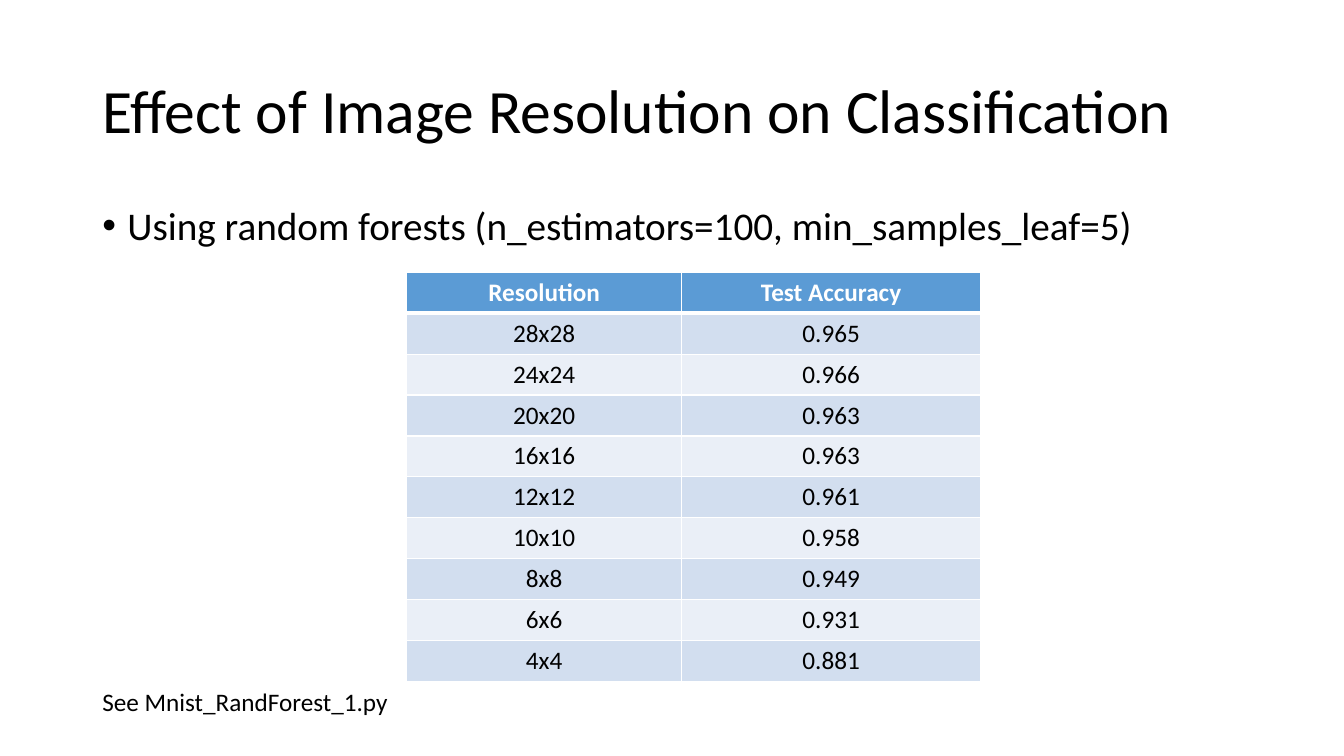
from dataclasses import dataclass

from lxml import etree
from pptx import Presentation
from pptx import util as u
from pptx.dml.color import RGBColor
from pptx.enum import text
from pptx.oxml import ns


@dataclass(frozen=True)
class Theme:
    font: str = "Calibri"
    ink: str = "000000"
    white: str = "FFFFFF"
    header: str = "5B9BD5"
    bands: tuple[str, str] = ("D2DEEF", "EAEFF7")
    title_size: float = 44
    body_size: float = 28
    small_size: float = 18


@dataclass(frozen=True)
class Box:
    left: float
    top: float
    width: float
    height: float

    def lengths(self) -> list[u.Length]:
        return [u.Pt(v) for v in (self.left, self.top, self.width, self.height)]


@dataclass(frozen=True)
class Result:
    resolution: str
    accuracy: str


THEME = Theme()
MARGIN = 66
CONTENT_WIDTH = 828
COLUMN_WIDTHS = (196.8, 213.3)
ROW_HEIGHT = 29.2
BULLET_INDENT = 18

RESULTS = [
    Result("28x28", "0.965"),
    Result("24x24", "0.966"),
    Result("20x20", "0.963"),
    Result("16x16", "0.963"),
    Result("12x12", "0.961"),
    Result("10x10", "0.958"),
    Result("8x8", "0.949"),
    Result("6x6", "0.931"),
    Result("4x4", "0.881"),
]


def write_text(frame, content: str, *, size: float, color: str = THEME.ink,
               bold: bool = False, align=text.PP_ALIGN.LEFT,
               line_spacing: float = 1.0, space_before: float = 0,
               bullet: bool = False) -> None:
    paragraph = frame.paragraphs[0]
    paragraph.alignment = align
    paragraph.line_spacing = line_spacing
    paragraph.space_before = u.Pt(space_before)
    if bullet:
        properties = paragraph._p.get_or_add_pPr()
        properties.set("marL", str(u.Pt(BULLET_INDENT)))
        properties.set("indent", str(-u.Pt(BULLET_INDENT)))
        etree.SubElement(properties, ns.qn("a:buFont"), typeface="Arial")
        etree.SubElement(properties, ns.qn("a:buChar"), char="•")
    run = paragraph.add_run()
    run.text = content
    run.font.name = THEME.font
    run.font.size = u.Pt(size)
    run.font.bold = bold
    run.font.color.rgb = RGBColor.from_string(color)


def add_text_box(slide, box: Box, content: str, *,
                 anchor=text.MSO_ANCHOR.TOP, **text_format) -> None:
    frame = slide.shapes.add_textbox(*box.lengths()).text_frame
    frame.word_wrap = True
    frame.vertical_anchor = anchor
    write_text(frame, content, **text_format)


def set_borders(cell, top: float, bottom: float) -> None:
    properties = cell._tc.get_or_add_tcPr()
    for side, width in (("L", 1), ("R", 1), ("T", top), ("B", bottom)):
        line = etree.SubElement(properties, ns.qn(f"a:ln{side}"), w=str(u.Pt(width)))
        fill = etree.SubElement(line, ns.qn("a:solidFill"))
        etree.SubElement(fill, ns.qn("a:srgbClr"), val=THEME.white)


def add_results_table(slide, left: float, top: float, results: list[Result]) -> None:
    rows = [("Resolution", "Test Accuracy")]
    rows += [(result.resolution, result.accuracy) for result in results]
    box = Box(left, top, sum(COLUMN_WIDTHS), ROW_HEIGHT * len(rows))
    table = slide.shapes.add_table(len(rows), len(COLUMN_WIDTHS), *box.lengths()).table
    for column, width in zip(table.columns, COLUMN_WIDTHS):
        column.width = u.Pt(width)
    for row_index, values in enumerate(rows):
        table.rows[row_index].height = u.Pt(ROW_HEIGHT)
        is_header = row_index == 0
        fill_color = THEME.header if is_header else THEME.bands[(row_index - 1) % 2]
        for column_index, value in enumerate(values):
            cell = table.cell(row_index, column_index)
            # The thick rule separates the header from the results
            set_borders(cell, top=3 if row_index == 1 else 1, bottom=3 if is_header else 1)
            cell.fill.solid()
            cell.fill.fore_color.rgb = RGBColor.from_string(fill_color)
            write_text(cell.text_frame, value, size=THEME.small_size, bold=is_header,
                       color=THEME.white if is_header else THEME.ink,
                       align=text.PP_ALIGN.CENTER)


def main() -> None:
    presentation = Presentation()
    presentation.slide_width = u.Pt(960)
    presentation.slide_height = u.Pt(540)
    slide = presentation.slides.add_slide(presentation.slide_layouts[6])

    # Title
    add_text_box(slide, Box(MARGIN, 28.75, CONTENT_WIDTH, 104.4),
                 "Effect of Image Resolution on Classification",
                 size=THEME.title_size, line_spacing=0.9, anchor=text.MSO_ANCHOR.MIDDLE)

    # Method
    add_text_box(slide, Box(MARGIN, 143.75, CONTENT_WIDTH, 342.6),
                 "Using random forests (n_estimators=100, min_samples_leaf=5)",
                 size=THEME.body_size, line_spacing=0.9, space_before=10, bullet=True)

    # Accuracy by resolution
    add_results_table(slide, 290.3, 194.6, RESULTS)

    # Script reference
    add_text_box(slide, Box(MARGIN, 486.7, 309, 29.1), "See Mnist_RandForest_1.py",
                 size=THEME.small_size)

    presentation.save("out.pptx")


if __name__ == "__main__":
    main()
